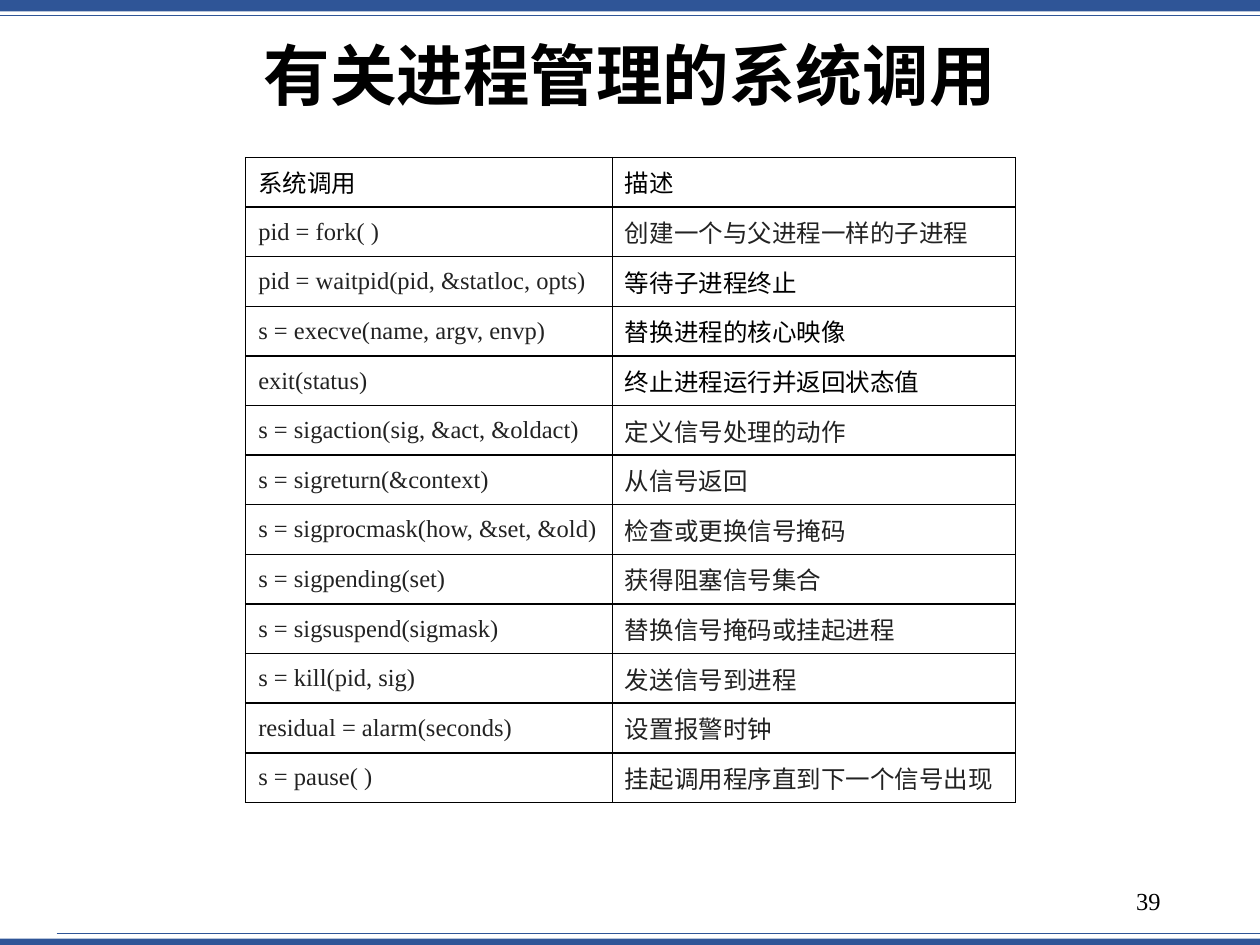
from lxml import etree
from pptx import Presentation
from pptx import util as u
from pptx.dml.color import RGBColor
from pptx.enum import shapes, text
from pptx.oxml.ns import qn

Inches = u.Inches
COLORS = {"bar": "2F5597", "black": "000000", "ink": "222222"}
CJK, LATIN = "Noto Sans CJK SC", "Times New Roman"


def add_run(p, words, size, font, color, bold=False):
    r = p.add_run()
    r.text = words
    r.font.size = u.Pt(size)
    r.font.bold = bold
    r.font.name = font
    r.font.color.rgb = RGBColor.from_string(COLORS[color])
    etree.SubElement(r.font._element, qn("a:ea"), typeface=font)


def add_border(cell, side):
    ln = etree.SubElement(cell._tc.get_or_add_tcPr(), qn(f"a:ln{side}"), w=str(u.Pt(1)))
    fill = etree.SubElement(ln, qn("a:solidFill"))
    etree.SubElement(fill, qn("a:srgbClr"), val=COLORS["black"])


prs = Presentation()
prs.slide_width, prs.slide_height = Inches(10), Inches(7.5)
s = prs.slides.add_slide(prs.slide_layouts[6])
bar_color = RGBColor.from_string(COLORS["bar"])

for top, height in [(7.45, 0.05), (0, 0.09)]:
    sp = s.shapes.add_shape(shapes.MSO_SHAPE.RECTANGLE, 0, Inches(top), Inches(10), Inches(height))
    sp.shadow.inherit = False
    sp.fill.solid()
    sp.fill.fore_color.rgb = bar_color
    sp.line.fill.background()

for left, y in [(0, 0.12), (0.45, 7.41)]:
    ln = s.shapes.add_connector(shapes.MSO_CONNECTOR.STRAIGHT, Inches(left), Inches(y), Inches(10), Inches(y))
    ln.line.color.rgb = bar_color
    ln.line.width = u.Pt(0.5)
    etree.SubElement(ln._element.spPr, qn("a:effectLst"))

for box, words, size, font, bold, align, spacing in [
    ((7.06, 6.95, 2.25, 0.4), "39", 14, LATIN, False, text.PP_ALIGN.RIGHT, 1.0),
    ((0, 0, 10, 1.25), "有关进程管理的系统调用", 38, CJK, True, text.PP_ALIGN.CENTER, 0.9),
]:
    tf = s.shapes.add_textbox(*map(Inches, box)).text_frame
    tf.word_wrap = True
    tf.vertical_anchor = text.MSO_ANCHOR.MIDDLE
    p = tf.paragraphs[0]
    p.alignment = align
    p.line_spacing = spacing
    add_run(p, words, size, font, "black", bold)

rows = [
    ("系统调用", "描述", "black"),
    ("pid = fork( )", "创建一个与父进程一样的子进程", "ink"),
    ("pid = waitpid(pid, &statloc, opts)", "等待子进程终止", "black"),
    ("s = execve(name, argv, envp)", "替换进程的核心映像", "black"),
    ("exit(status)", "终止进程运行并返回状态值", "black"),
    ("s = sigaction(sig, &act, &oldact)", "定义信号处理的动作", "ink"),
    ("s = sigreturn(&context)", "从信号返回", "ink"),
    ("s = sigprocmask(how, &set, &old)", "检查或更换信号掩码", "ink"),
    ("s = sigpending(set)", "获得阻塞信号集合", "ink"),
    ("s = sigsuspend(sigmask)", "替换信号掩码或挂起进程", "ink"),
    ("s = kill(pid, sig)", "发送信号到进程", "ink"),
    ("residual = alarm(seconds)", "设置报警时钟", "ink"),
    ("s = pause( )", "挂起调用程序直到下一个信号出现", "ink"),
]
table = s.shapes.add_table(len(rows), 2, Inches(1.95), Inches(1.25), Inches(6.11), Inches(5.12)).table
table.first_row = table.horz_banding = False
for col, width in zip(table.columns, (2.91, 3.2)):
    col.width = Inches(width)

for i, (call, description, color) in enumerate(rows):
    call_style = (LATIN, "ink") if i else (CJK, "black")
    for j, (words, font, c) in enumerate([(call, *call_style), (description, CJK, color)]):
        cell = table.cell(i, j)
        for side in "LRTB":
            add_border(cell, side)
        cell.fill.background()
        cell.vertical_anchor = text.MSO_ANCHOR.MIDDLE if i else text.MSO_ANCHOR.TOP
        add_run(cell.text_frame.paragraphs[0], words, 14, font, c)

prs.save("out.pptx")
